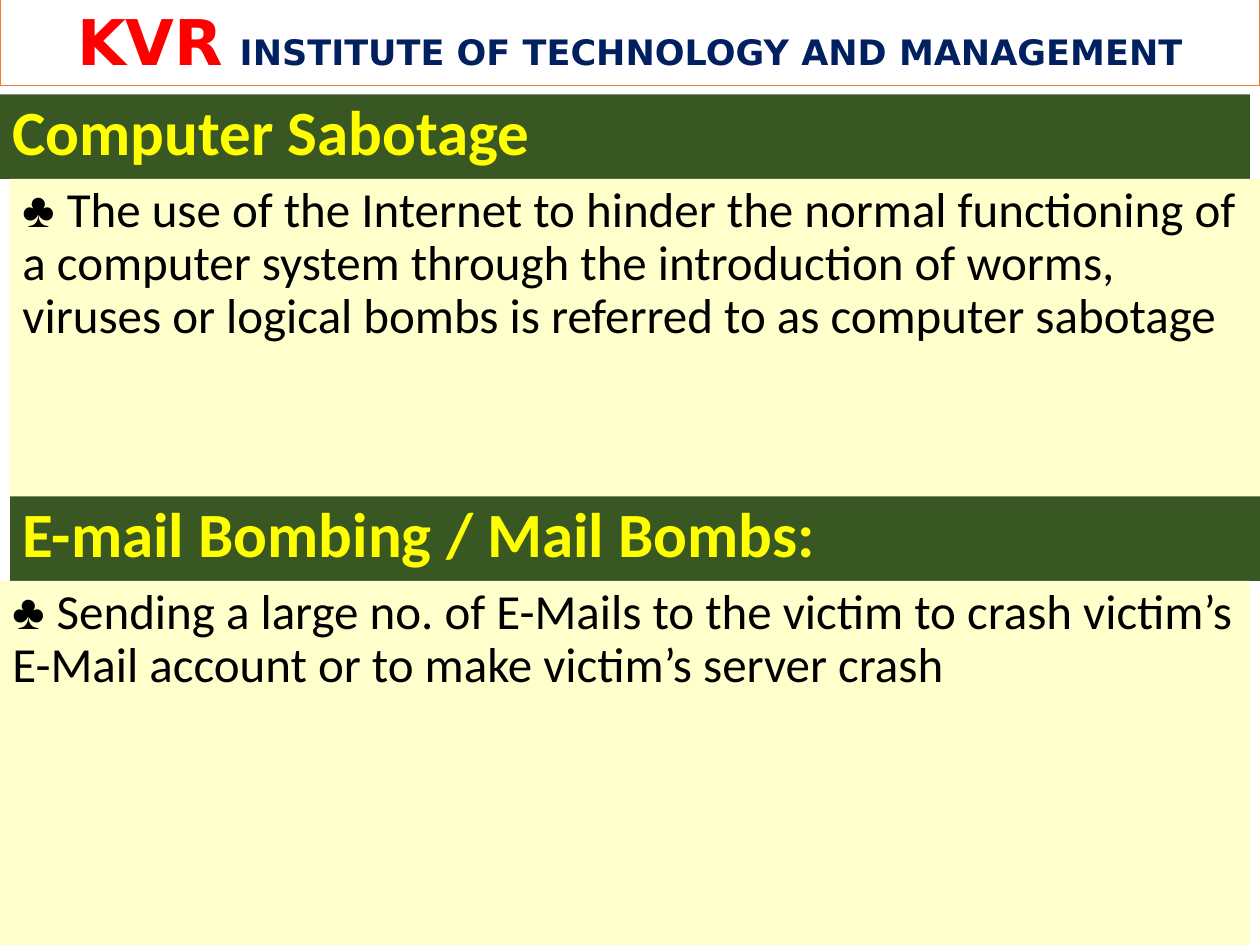
from dataclasses import dataclass

from pptx import Presentation
from pptx.dml.color import RGBColor
from pptx.enum.shapes import MSO_SHAPE
from pptx.enum.text import MSO_ANCHOR, PP_ALIGN
from pptx.util import Inches, Pt

RECTANGLE = MSO_SHAPE.RECTANGLE
TOP = MSO_ANCHOR.TOP
LEFT, CENTER = PP_ALIGN.LEFT, PP_ALIGN.CENTER


@dataclass(frozen=True)
class Theme:
    white: str = "FFFFFF"
    orange: str = "ED7D31"
    red: str = "FF0000"
    navy: str = "002060"
    green: str = "385723"
    yellow: str = "FFFF00"
    cream: str = "FFFFCC"
    black: str = "000000"
    banner_font: str = "DejaVu Sans"
    text_font: str = "Calibri"
    bullet_font: str = "Times New Roman"
    heading_size: int = 36
    gap_size: int = 27
    body_size: int = 28
    banner_size: int = 20


class SlideBuilder:
    def __init__(self, slide, theme):
        self.slide = slide
        self.theme = theme

    def panel(self, left, top, width, height, fill, line=None):
        """Add a filled rectangle and return its first paragraph."""
        box = self.slide.shapes.add_shape(
            RECTANGLE, Inches(left), Inches(top), Inches(width), Inches(height))
        box.shadow.inherit = False
        box.fill.solid()
        box.fill.fore_color.rgb = RGBColor.from_string(fill)
        if line:
            box.line.color.rgb = RGBColor.from_string(line)
            box.line.width = Pt(1)
        else:
            box.line.fill.background()
        box.text_frame.word_wrap = True
        box.text_frame.vertical_anchor = TOP
        return box.text_frame.paragraphs[0]

    def add_spans(self, para, spans, layout):
        """Fill a paragraph with (text, font, size, color, bold) spans."""
        for name, value in layout.items():
            setattr(para, name, value)
        for text, font, size, color, bold in spans:
            span = para.add_run()
            span.text = text
            values = {"name": font, "size": Pt(size), "bold": bold}
            for name, value in values.items():
                setattr(span.font, name, value)
            span.font.color.rgb = RGBColor.from_string(color)

    def banner(self, short_name, full_name):
        look = self.theme
        para = self.panel(0, -0.03, 10, 0.71, look.white, look.orange)
        font = look.banner_font
        self.add_spans(para, [
            (short_name, font, look.heading_size, look.red, True),
            (" ", font, look.gap_size, look.red, True),
            (full_name, font, look.banner_size, look.navy, True),
        ], {"alignment": CENTER, "space_after": Pt(2)})

    def heading(self, left, top, width, height, text):
        look = self.theme
        para = self.panel(left, top, width, height, look.green)
        self.add_spans(para, [
            (text, look.text_font, look.heading_size, look.yellow, True),
        ], {"alignment": LEFT, "line_spacing": 0.9})

    def body(self, left, top, width, height, text):
        look = self.theme
        para = self.panel(left, top, width, height, look.cream)
        self.add_spans(para, [
            ("♣ ", look.bullet_font, look.body_size, look.black, False),
            (text, look.text_font, look.body_size, look.black, False),
        ], {"alignment": LEFT, "line_spacing": 0.9})


def main():
    deck = Presentation()
    deck.slide_width, deck.slide_height = Inches(10), Inches(7.5)
    page = SlideBuilder(deck.slides.add_slide(deck.slide_layouts[6]), Theme())

    inset, width, heading_height = 0.08, 9.92, 0.67
    first_top, second_top, bottom = 0.75, 3.94, 7.5

    # Institute banner
    page.banner("KVR", "INSTITUTE OF TECHNOLOGY AND MANAGEMENT")

    # Topics: heading left, body left, top, bottom, heading, text
    topics = [
        (0, inset, first_top, second_top, "Computer Sabotage",
         "The use of the Internet to hinder the normal functioning of a "
         "computer system through the introduction of worms, viruses or "
         "logical bombs is referred to as computer sabotage"),
        (inset, 0, second_top, bottom, "E-mail Bombing / Mail Bombs:",
         "Sending a large no. of E-Mails to the victim to crash victim’s "
         "E-Mail account or to make victim’s server crash"),
    ]
    for heading_left, body_left, top, end, title, text in topics:
        body_top = top + heading_height
        page.heading(heading_left, top, width, heading_height, title)
        page.body(body_left, body_top, width, end - body_top, text)

    deck.save("out.pptx")


if __name__ == "__main__":
    main()
